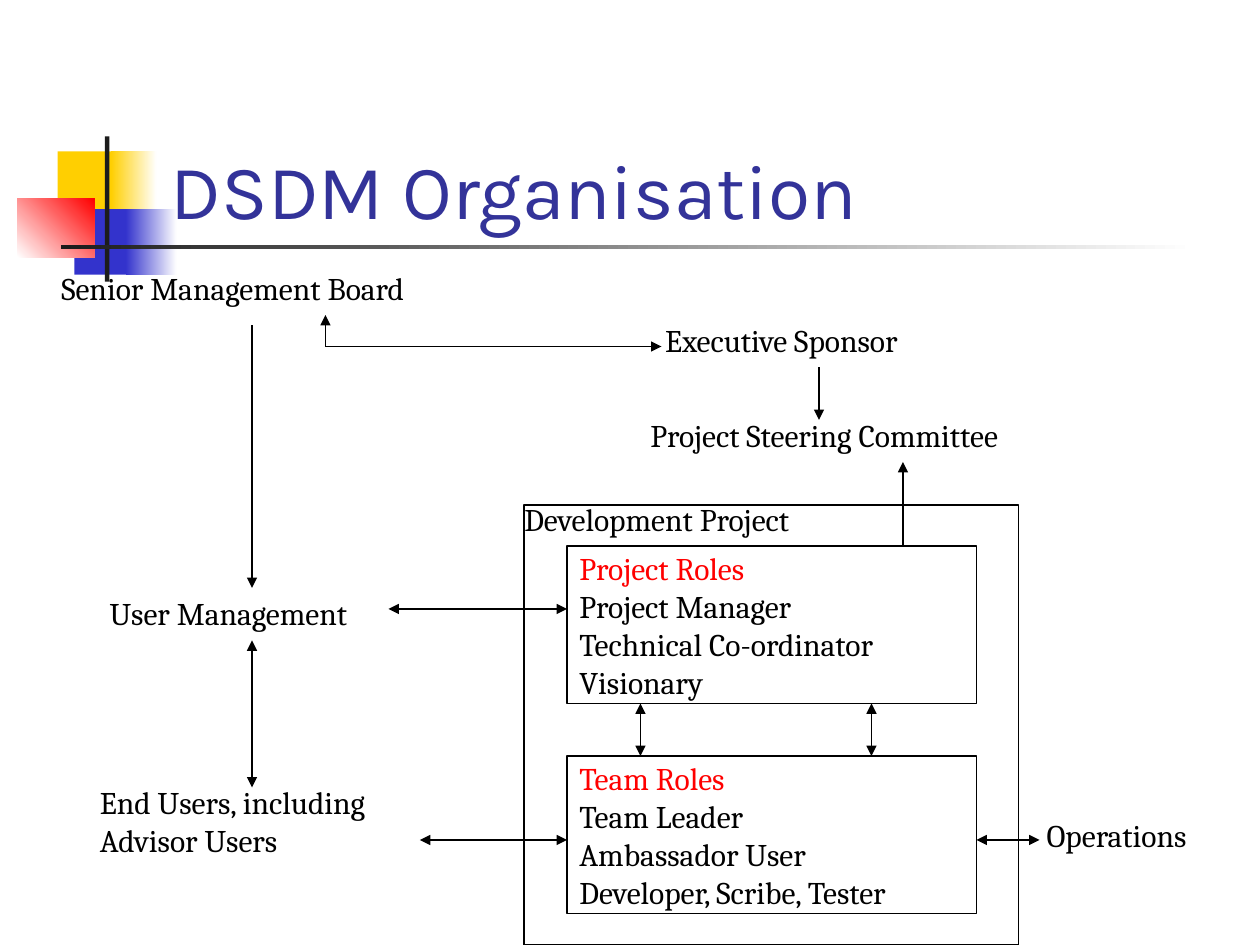
"""Build the DSDM organisation slide."""
from lxml.etree import SubElement
from pptx import Presentation
from pptx.dml.color import RGBColor as RGB
from pptx.enum.shapes import MSO_CONNECTOR as LINK, MSO_SHAPE as SHAPE
from pptx.enum.text import MSO_ANCHOR as ANCHOR, PP_ALIGN as ALIGN
from pptx.oxml.ns import qn
from pptx.util import Pt

THEME = {
    "ink": "000000", "head": "FF0000", "title": "333399", "white": "FFFFFF",
    "gold": "FFCF01", "blue": "3333CC", "red": "FF0000", "dark": "1C1C1C",
    "font": "Cambria", "face": "Karla", "size": 18, "big": 44, "line": 1,
}

# left, top, width, height, colours, clockwise angle
DECOR = [
    (33, 86.5, 35, 37.5, ("gold",), 0),
    (63.5, 86.5, 26, 37.5, ("gold", "white"), 0),
    (42.5, 119.5, 33, 37.5, ("blue",), 0),
    (72, 119.5, 29, 37.5, ("blue", "white"), 0),
    (10, 113.5, 44, 33.5, ("white", "red"), 315),
    (60, 78, 2.5, 83, ("dark",), 0),
    (35, 140, 648, 2.5, ("dark", "white"), 0),
]
TITLE = ("DSDM Organisation", (90.5, 48, 613.5, 90))
LABELS = [
    (["Senior Management Board"], 28, 150, 244),
    (["Executive Sponsor"], 373, 180, 172),
    (["Project Steering Committee"], 364.5, 234, 248),
    (["User Management"], 55.5, 336, 171),
    (["End Users, including", "Advisor Users"], 50, 444, 191),
    (["Operations"], 591, 463, 109),
    (["Development Project"], 292.5, 282, 193),
]
FRAME = (299.5, 288.5, 282.5, 251.5)
ROLES = [
    (["Project Roles", "Project Manager", "Technical Co-ordinator", "Visionary"], 312),
    (["Team Roles", "Team Leader", "Ambassador User", "Developer, Scribe, Tester"], 432),
]
LEFT, WIDE, HIGH = 324, 234, 90
RIGHT = LEFT + WIDE
ENDS = {"both": ("headEnd", "tailEnd"), "head": ("headEnd",), "tail": ("tailEnd",)}
ARROWS = [
    (366, 402, 366, 432, "both"),
    (498, 402, 498, 432, "both"),
    (RIGHT, 480, 594, 480, "both"),
    (240, 480, LEFT, 480, "both"),
    (516, 312, 516, 264, "tail"),
    (222, 348, LEFT, 348, "both"),
    (144, 366, 144, 450, "both"),
    (144, 186, 144, 336, "tail"),
    (186, 180, 186, 198, "head"),
    (186, 198, 378, 198, "tail"),
    (468, 210, 468, 240, "tail"),
]


def tint(name):
    return RGB.from_string(THEME[name])


def write(shape, lines, font="font", size="size", inks=("ink",), anchor=ANCHOR.TOP):
    frame = shape.text_frame
    frame.word_wrap = True
    frame.vertical_anchor = anchor
    for i, line in enumerate(lines):
        para = frame.paragraphs[0] if i == 0 else frame.add_paragraph()
        para.alignment = ALIGN.LEFT
        run = para.add_run()
        run.text = line
        run.font.name = THEME[font]
        run.font.size = Pt(THEME[size])
        run.font.color.rgb = tint(inks[min(i, len(inks) - 1)])


def block(shapes, area, hues=(), angle=0):
    shape = shapes.add_shape(SHAPE.RECTANGLE, *map(Pt, area))
    shape.shadow.inherit = False
    if len(hues) == 2:
        shape.fill.gradient()
        shape.fill.gradient_angle = -angle % 360
        for stop, hue in zip(shape.fill.gradient_stops, hues):
            stop.color.rgb = tint(hue)
    elif hues:
        shape.fill.solid()
        shape.fill.fore_color.rgb = tint(hues[0])
    else:
        shape.fill.background()
    if hues:
        shape.line.fill.background()
    else:
        shape.line.color.rgb = tint("ink")
        shape.line.width = Pt(THEME["line"])
    return shape


def arrow(shapes, x1, y1, x2, y2, ends):
    link = shapes.add_connector(LINK.STRAIGHT, *map(Pt, (x1, y1, x2, y2)))
    link.line.color.rgb = tint("ink")
    link.line.width = Pt(THEME["line"])
    props = link.line._get_or_add_ln()
    for end in ENDS[ends]:
        SubElement(props, qn(f"a:{end}"), type="triangle")
    SubElement(link._element.spPr, qn("a:effectLst"))


def main():
    deck = Presentation()
    deck.slide_width, deck.slide_height = Pt(720), Pt(540)
    shapes = deck.slides.add_slide(deck.slide_layouts[6]).shapes
    for *area, hues, angle in DECOR:
        block(shapes, area, hues, angle)
    text, area = TITLE
    write(shapes.add_textbox(*map(Pt, area)), [text], font="face", size="big",
          inks=("title",), anchor=ANCHOR.BOTTOM)
    block(shapes, FRAME)
    for lines, top in ROLES:
        box = block(shapes, (LEFT, top, WIDE, HIGH))
        write(box, lines, inks=("head", "ink"), anchor=ANCHOR.MIDDLE)
    for lines, left, top, wide in LABELS:
        high = 7.2 + 21.6 * len(lines)
        write(shapes.add_textbox(*map(Pt, (left, top, wide, high))), lines)
    for item in ARROWS:
        arrow(shapes, *item)
    deck.save("out.pptx")


if __name__ == "__main__":
    main()
